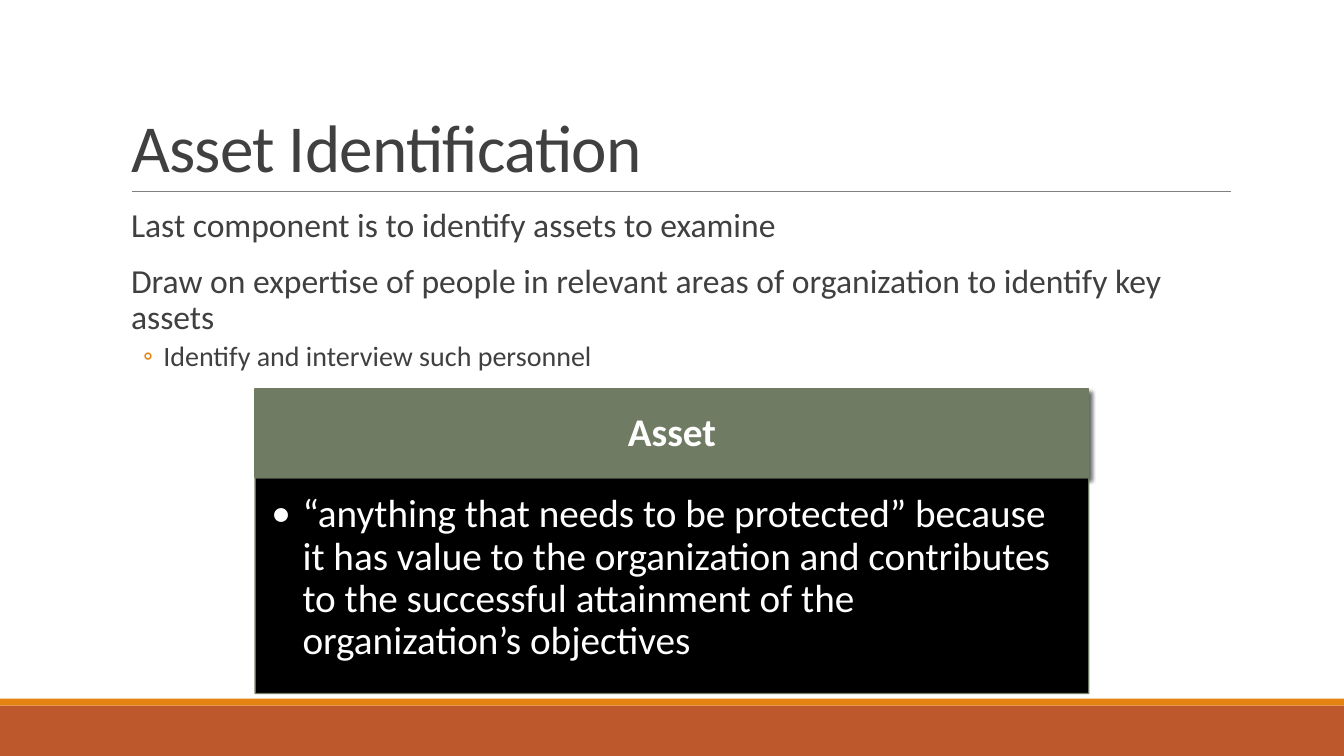
from dataclasses import dataclass

from lxml.etree import SubElement
from pptx import Presentation
from pptx.dml.color import RGBColor
from pptx.enum.shapes import MSO_CONNECTOR, MSO_SHAPE
from pptx.enum.text import MSO_ANCHOR as ANCHOR, MSO_AUTO_SIZE, PP_ALIGN as ALIGN
from pptx.oxml.ns import qn
from pptx.util import Inches, Pt


@dataclass(frozen=True)
class Theme:
    font: str = "Calibri"
    ink: str = "404040"
    rule: str = "808080"
    orange: str = "E48312"
    rust: str = "BD582C"
    olive: str = "6F7B63"
    black: str = "000000"
    white: str = "FFFFFF"
    title: int = 48
    card: int = 28
    body: int = 24
    sub: int = 20


T = Theme()
SLIDE_W, SLIDE_H = Inches(13.333), Inches(7.5)


# Lengths are percentages of the slide's width and height
def across(share):
    return int(SLIDE_W * share / 100)


def down(share):
    return int(SLIDE_H * share / 100)


def frame(left, top, width, height):
    return across(left), down(top), across(width), down(height)


def set_attrs(obj, values):
    for name, value in values.items():
        setattr(obj, name, value)


def color(value):
    return RGBColor.from_string(value)


def set_frame(tf, insets, anchor=ANCHOR.TOP):
    set_attrs(tf, {"word_wrap": True, "auto_size": MSO_AUTO_SIZE.NONE,
                   "vertical_anchor": anchor})
    sides = ("margin_left", "margin_top", "margin_right", "margin_bottom")
    set_attrs(tf, {side: Inches(n) for side, n in zip(sides, insets)})


def write(p, text, size, ink, bold=False, **spacing):
    set_attrs(p, {"alignment": ALIGN.LEFT, "line_spacing": 0.9, **spacing})
    r = p.add_run()
    r.text = text
    set_attrs(r.font, {"name": T.font, "size": Pt(size), "bold": bold})
    r.font.color.rgb = color(ink)
    return r


def set_indent(p, left, hanging=0, bullet=None, bullet_color=None):
    pPr = p._p.get_or_add_pPr()
    pPr.set("marL", str(Inches(left)))
    pPr.set("indent", str(-Inches(hanging)))
    if bullet:
        clr = SubElement(pPr, qn("a:buClr"))
        SubElement(clr, qn("a:srgbClr"), val=bullet_color)
        SubElement(pPr, qn("a:buFont"), typeface=T.font)
        SubElement(pPr, qn("a:buChar"), char=bullet)


def add_block(slide, place, fill, line=None):
    s = slide.shapes.add_shape(MSO_SHAPE.RECTANGLE, *frame(*place))
    s.shadow.inherit = False
    s.fill.solid()
    s.fill.fore_color.rgb = color(fill)
    if line:
        s.line.color.rgb = color(line)
        s.line.width = Pt(1)
    else:
        s.line.fill.background()
    return s


def add_shadow(s):
    effects = s._element.spPr.find(qn("a:effectLst"))
    shadow = SubElement(effects, qn("a:outerShdw"), blurRad=str(Pt(3)),
                        dist=str(Pt(2)), dir="2700000", algn="tl", rotWithShape="0")
    clr = SubElement(shadow, qn("a:srgbClr"), val=T.black)
    SubElement(clr, qn("a:alpha"), val="60000")


def add_rule(slide, left, right, top):
    y = down(top)
    s = slide.shapes.add_connector(MSO_CONNECTOR.STRAIGHT, across(left), y, across(right), y)
    s.line.color.rgb = color(T.rule)
    s.line.width = Pt(0.5)
    SubElement(s._element.spPr, qn("a:effectLst"))


def add_title(slide, text):
    s = slide.shapes.title
    set_attrs(s, dict(zip(("left", "top", "width", "height"), frame(9, 4.13, 82.5, 21.2))))
    set_frame(s.text_frame, (0.1, 0.05, 0.1, 0.05), ANCHOR.BOTTOM)
    r = write(s.text_frame.paragraphs[0], text, T.title, T.ink, line_spacing=0.85)
    r._r.get_or_add_rPr().set("spc", "-50")


def add_body(slide, items):
    tf = slide.shapes.add_textbox(*frame(9, 26.93, 82.5, 58.67)).text_frame
    set_frame(tf, (0, 0.05, 0, 0.05))
    for i, (level, text) in enumerate(items):
        p = tf.add_paragraph() if i else tf.paragraphs[0]
        if level:
            p.level = level
            write(p, text, T.sub, T.ink, space_before=Pt(2), space_after=Pt(4))
            set_indent(p, 0.42, 0.2, "◦", T.orange)
        else:
            write(p, text, T.body, T.ink, space_before=Pt(12), space_after=Pt(2))
            set_indent(p, 0.1)


def add_definition(slide, term, meaning):
    width, top, head_h, text_h = 62.02, 51.47, 11.73, 28.53
    left = (100 - width) / 2

    # Term heading
    head = add_block(slide, (left, top, width, head_h), T.olive, T.olive)
    add_shadow(head)
    set_frame(head.text_frame, (0.22, 0.12, 0.22, 0.12), ANCHOR.MIDDLE)
    write(head.text_frame.paragraphs[0], term, T.card, T.white, bold=True,
          alignment=ALIGN.CENTER)

    # Meaning below it
    panel = add_block(slide, (left, top + head_h, width, text_h), T.black, T.olive)
    line_clr = panel.line._ln.find(".//" + qn("a:srgbClr"))
    SubElement(line_clr, qn("a:alpha"), val="90000")
    set_frame(panel.text_frame, (0.16, 0.16, 0.22, 0.24))
    p = panel.text_frame.paragraphs[0]
    write(p, meaning, T.card, T.white)
    set_indent(p, 0.31, 0.31, "•", T.white)


def main():
    prs = Presentation()
    set_attrs(prs, {"slide_width": SLIDE_W, "slide_height": SLIDE_H})
    slide = prs.slides.add_slide(prs.slide_layouts.get_by_name("Title Only"))

    # Footer bands and title rule
    add_block(slide, (0, 93.33, 100, 6.67), T.rust)
    add_block(slide, (0, 92.4, 100, 0.93), T.orange)
    add_rule(slide, 9.82, 91.58, 25.33)

    # Content
    add_title(slide, "Asset Identification")
    add_body(slide, [
        (0, "Last component is to identify assets to examine"),
        (0, "Draw on expertise of people in relevant areas of organization "
            "to identify key assets"),
        (1, "Identify and interview such personnel"),
    ])
    add_definition(slide, "Asset",
                   "“anything that needs to be protected” because it has value to the "
                   "organization and contributes to the successful attainment of the "
                   "organization’s objectives")
    prs.save("out.pptx")


if __name__ == "__main__":
    main()
